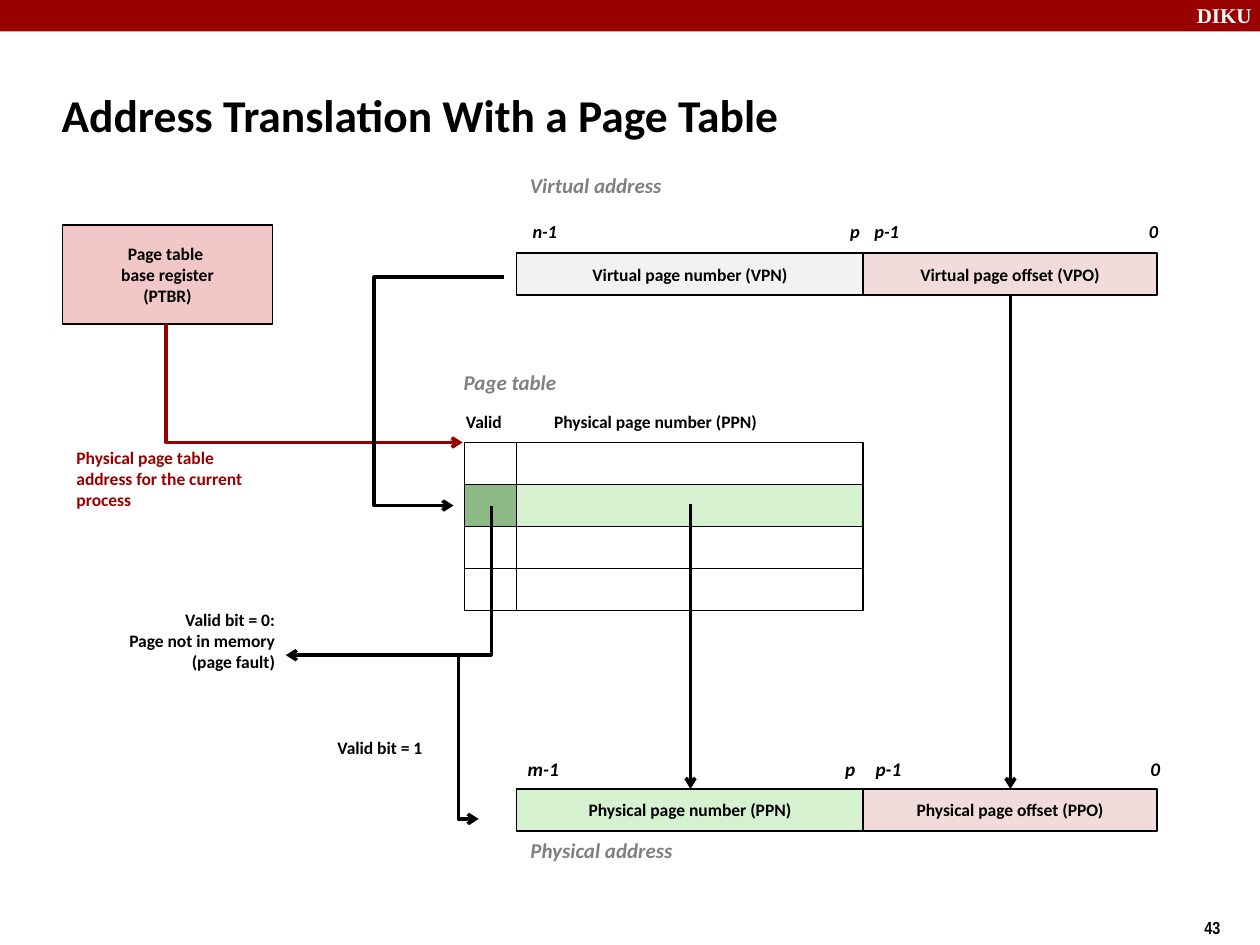
from dataclasses import dataclass

from lxml import etree
from pptx import Presentation
from pptx.dml.color import RGBColor
from pptx.enum import shapes, text
from pptx.oxml import ns
from pptx.util import Pt


@dataclass(frozen=True)
class Theme:
    font: str = "Calibri"
    brand_font: str = "Times New Roman"
    number_font: str = "Arial Narrow"
    black: str = "000000"
    white: str = "FFFFFF"
    red: str = "990000"
    grey: str = "808080"
    pale_grey: str = "F2F2F2"
    offset_pink: str = "F2DCDB"
    register_pink: str = "F1C7C7"
    green: str = "D5F1CF"
    dark_green: str = "8DBA84"
    title: float = 26
    heading: float = 12
    label: float = 10
    virtual_bit: float = 10.5
    physical_bit: float = 11


T = Theme()
LEFT, CENTER, RIGHT = text.PP_ALIGN.LEFT, text.PP_ALIGN.CENTER, text.PP_ALIGN.RIGHT

VALID_X, NUMBER_X, OFFSET_X = 265.5, 295.2, 493.2
NUMBER_W, OFFSET_W, ROW_H = 198, 167.8, 24
VIRTUAL_Y, TABLE_Y, PHYSICAL_Y = 144.7, 252.9, 450.8


def rgb(value):
    return RGBColor.from_string(value)


def write(tf, lines, size, color=T.black, align=LEFT, font=T.font, italic=False):
    for i, line in enumerate(lines):
        p = tf.paragraphs[0] if i == 0 else tf.add_paragraph()
        p.alignment = align
        for j, part in enumerate(line.split("\v")):
            if j:
                p.add_line_break()
            r = p.add_run()
            r.text = part
            r.font.name, r.font.size = font, Pt(size)
            r.font.bold, r.font.italic = True, italic
            r.font.color.rgb = rgb(color)


def label(s, x, y, w, h, *lines, size=T.label, **style):
    tf = s.shapes.add_textbox(Pt(x), Pt(y), Pt(w), Pt(h)).text_frame
    tf.word_wrap = False
    write(tf, lines, size, **style)


def heading(s, x, y, w, caption):
    label(s, x, y, w, 28.8, caption, size=T.heading, color=T.grey, italic=True)


def box(s, x, y, w, h, *lines, fill=None, line=T.black):
    sp = s.shapes.add_shape(shapes.MSO_SHAPE.RECTANGLE, Pt(x), Pt(y), Pt(w), Pt(h))
    sp.shadow.inherit = False
    if fill:
        sp.fill.solid()
        sp.fill.fore_color.rgb = rgb(fill)
    else:
        sp.fill.background()
    if line:
        sp.line.color.rgb = rgb(line)
        sp.line.width = Pt(1)
    else:
        sp.line.fill.background()
    sp.text_frame.vertical_anchor = text.MSO_ANCHOR.MIDDLE
    write(sp.text_frame, lines, T.label, align=CENTER)


def arrow(s, start, end, bend=None, color=T.black):
    kind = shapes.MSO_CONNECTOR.STRAIGHT if bend is None else shapes.MSO_CONNECTOR.ELBOW
    c = s.shapes.add_connector(kind, *map(Pt, start + end))
    c.line.color.rgb = rgb(color)
    c.line.width = Pt(2)
    sp_pr = c._element.spPr
    if bend is not None:
        share = (bend - start[0]) / (end[0] - start[0])
        guides = sp_pr.find(ns.qn("a:prstGeom")).get_or_add_avLst()
        etree.SubElement(guides, ns.qn("a:gd"), name="adj1", fmla=f"val {round(share * 100000)}")
    etree.SubElement(sp_pr.find(ns.qn("a:ln")), ns.qn("a:tailEnd"), type="arrow")
    etree.SubElement(sp_pr, ns.qn("a:effectLst"))


def title(s, caption):
    sp = s.shapes.title
    sp.left, sp.top, sp.width, sp.height = Pt(28), Pt(35.3), Pt(597.6), Pt(59.8)
    tf = sp.text_frame
    tf.auto_size = text.MSO_AUTO_SIZE.NONE
    tf.vertical_anchor = text.MSO_ANCHOR.MIDDLE
    write(tf, [caption], T.title)


def frame(s):
    box(s, 0, 0, 720, 18, fill=T.red, line=None)
    label(s, 676.8, -2.2, 48.2, 21.6, "DIKU", size=T.heading, color=T.white, font=T.brand_font)
    label(s, 681.1, 520.6, 54, 19.4, "43", font=T.number_font)


def address(s, y, number, offset, number_fill):
    box(s, NUMBER_X, y, NUMBER_W, ROW_H, number, fill=number_fill)
    box(s, OFFSET_X, y, OFFSET_W, ROW_H, offset, fill=T.offset_pink)


def bit_labels(s, y, size, places):
    for caption, x, w in places:
        label(s, x, y, w, 21.6, caption, size=size, italic=True)


def page_table(s):
    for row in range(4):
        y = TABLE_Y + row * ROW_H
        chosen = row == 1
        box(s, NUMBER_X, y, NUMBER_W, ROW_H, fill=T.green if chosen else None)
        box(s, VALID_X, y, NUMBER_X - VALID_X, ROW_H, fill=T.dark_green if chosen else None)
    label(s, 259.2, 231.3, 43.2, 23.8, "Valid")
    label(s, 309.6, 231.6, 177.1, 23.8, "Physical page number (PPN)")


def arrows(s):
    entry_y = TABLE_Y + 1.5 * ROW_H
    valid_x, fault_y = 280.8, 374.4
    arrow(s, (valid_x, fault_y), (273.6, 468), bend=262.1)
    arrow(s, (577.4, VIRTUAL_Y + ROW_H), (577.4, PHYSICAL_Y))
    arrow(s, (394.6, 288), (394.6, PHYSICAL_Y))
    arrow(s, (valid_x, entry_y), (163.4, fault_y), bend=valid_x)
    arrow(s, (95, 185.2), (264.4, TABLE_Y), bend=95, color=T.red)
    arrow(s, (288, 158.4), (259.2, entry_y), bend=213.8)


def main():
    prs = Presentation()
    prs.slide_width, prs.slide_height = Pt(720), Pt(540)
    s = prs.slides.add_slide(prs.slide_layouts[5])
    frame(s)
    title(s, "Address Translation With a Page Table")

    address(s, VIRTUAL_Y, "Virtual page number (VPN)", "Virtual page offset (VPO)", T.pale_grey)
    page_table(s)
    address(s, PHYSICAL_Y, "Physical page number (PPN)", "Physical page offset (PPO)", T.green)
    box(s, 35.7, 128.6, 120, 56.6, "Page table \vbase register", "(PTBR)", fill=T.register_pink)
    arrows(s)

    heading(s, 295.7, 95, 127.4, "Virtual address")
    heading(s, 257.8, 207.9, 102.2, "Page table")
    heading(s, 296, 475.3, 136.1, "Physical address")
    label(s, 36.6, 251.9, 147.6, 57.6, "Physical page table", "address for the current",
          "process", color=T.red)
    label(s, 32.4, 344.5, 131.8, 57.6, "Valid bit = 0:", "Page not in memory",
          "(page fault)", align=RIGHT)
    label(s, 165.6, 417.6, 82.8, 23.8, "Valid bit = 1", align=RIGHT)
    bit_labels(s, 122.4, T.virtual_bit,
               [("n-1", 297.2, 30.2), ("p", 478.7, 20.9), ("p-1", 492.6, 30.2), ("0", 649.4, 20.2)])
    bit_labels(s, 429.4, T.physical_bit,
               [("m-1", 294.5, 33.8), ("p", 475.9, 20.9), ("p-1", 493.2, 30.2), ("0", 650.2, 20.2)])
    prs.save("out.pptx")


if __name__ == "__main__":
    main()
